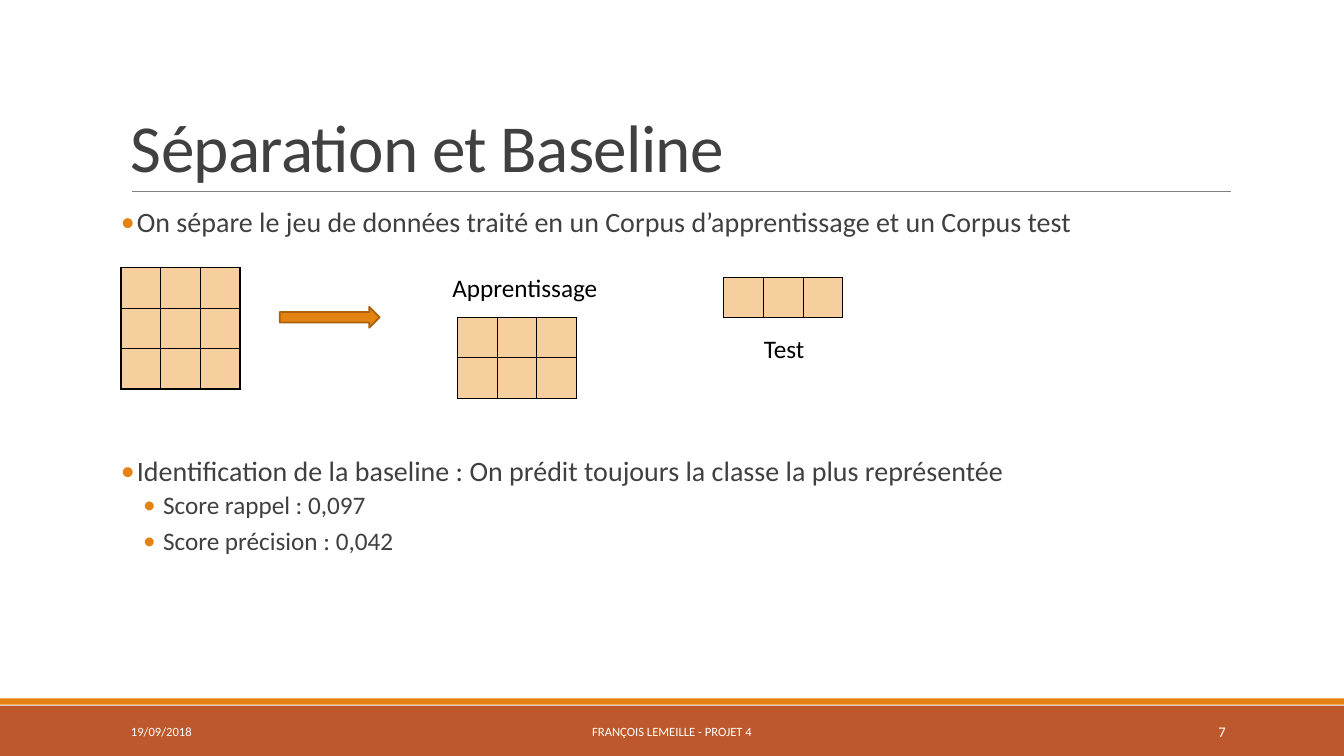
from collections import namedtuple
from dataclasses import dataclass

from lxml.etree import SubElement
from pptx import Presentation
from pptx.dml.color import RGBColor as Rgb
from pptx.enum.shapes import MSO_CONNECTOR as Connector, MSO_SHAPE as Preset
from pptx.enum.text import MSO_ANCHOR as Anchor, PP_ALIGN as Align
from pptx.oxml.ns import qn
from pptx.util import Cm, Pt

Box = namedtuple("Box", "left top width height")
Level = namedtuple("Level", "size margin hanging before after")


@dataclass(frozen=True)
class Theme:
    """Colours, font and type sizes of the slide."""
    font: str = "Calibri"
    ink: str = "404040"
    black: str = "000000"
    white: str = "FFFFFF"
    rule: str = "808080"
    accent: str = "E48312"
    accent_edge: str = "A9610D"
    band: str = "BD582C"
    cell: str = "F7CE9D"
    title: float = 48
    label: float = 18
    footer: float = 9
    page: float = 10.5
    point: Level = Level(20, 0.4, 0.4, 12, 2)
    detail: Level = Level(18, 1.06, 0.5, 2, 4)


THEME = Theme()


def lengths(box):
    """Turn a box in centimetres into lengths."""
    return [Cm(value) for value in box]


def add_run(paragraph, text, size, color):
    """Append a formatted run to a paragraph."""
    run = paragraph.add_run()
    run.text = text
    run.font.name = THEME.font
    run.font.size = Pt(size)
    run.font.color.rgb = Rgb.from_string(color)
    return run


def add_frame(slide, box, anchor=Anchor.TOP):
    """Add a wrapping text box and return its text frame."""
    frame = slide.shapes.add_textbox(*lengths(box)).text_frame
    frame.word_wrap = True
    frame.vertical_anchor = anchor
    return frame


def add_label(slide, box, text, size, color, align=Align.LEFT, anchor=Anchor.TOP):
    """Add a one-line text box."""
    paragraph = add_frame(slide, box, anchor).paragraphs[0]
    paragraph.alignment = align
    add_run(paragraph, text, size, color)


def add_filled(slide, preset, box, color, edge=None):
    """Add a filled preset shape with an optional edge."""
    shape = slide.shapes.add_shape(preset, *lengths(box))
    shape.shadow.inherit = False
    shape.fill.solid()
    shape.fill.fore_color.rgb = Rgb.from_string(color)
    if edge:
        shape.line.color.rgb = Rgb.from_string(edge)
        shape.line.width = Pt(1.25)
    else:
        shape.line.fill.background()


def add_bullet(paragraph, level):
    """Give a paragraph the spacing, indent and bullet of its level."""
    paragraph.line_spacing = 0.9
    paragraph.space_before = Pt(level.before)
    paragraph.space_after = Pt(level.after)
    properties = paragraph._p.get_or_add_pPr()
    properties.set("marL", str(Cm(level.margin)))
    properties.set("indent", str(-Cm(level.hanging)))
    color = SubElement(properties, qn("a:buClr"))
    SubElement(color, qn("a:srgbClr"), val=THEME.accent)
    SubElement(properties, qn("a:buFont"), typeface=THEME.font)
    SubElement(properties, qn("a:buChar"), char="•")


def add_border(cell):
    """Draw a thin black line on each side of a cell."""
    properties = cell._tc.get_or_add_tcPr()
    for side in "LRTB":
        line = SubElement(properties, qn(f"a:ln{side}"), w=str(Pt(1)))
        fill = SubElement(line, qn("a:solidFill"))
        SubElement(fill, qn("a:srgbClr"), val=THEME.black)


def add_grid(slide, left, top, rows, columns=3, side=1):
    """Add a table of empty square cells that stands for a data set."""
    box = Box(left, top, columns * side, rows * side)
    table = slide.shapes.add_table(rows, columns, *lengths(box)).table
    table.first_row = table.horz_banding = False
    for cell in table.iter_cells():
        add_border(cell)
        cell.fill.solid()
        cell.fill.fore_color.rgb = Rgb.from_string(THEME.cell)


def add_title(slide, box, text):
    """Place the title and the rule under it."""
    frame = add_frame(slide, box, Anchor.BOTTOM)
    frame.paragraphs[0].line_spacing = 0.85
    run = add_run(frame.paragraphs[0], text, THEME.title, THEME.ink)
    run.font._element.set("spc", "-50")
    left, bottom = box.left + 0.28, box.top + box.height
    ends = lengths((left, bottom, left + 27.69, bottom))
    rule = slide.shapes.add_connector(Connector.STRAIGHT, *ends)
    rule.line.color.rgb = Rgb.from_string(THEME.rule)
    rule.line.width = Pt(0.5)
    SubElement(rule._element.spPr, qn("a:effectLst"))


def add_body(slide, box, items):
    """Place the bulleted text."""
    frame = add_frame(slide, box)
    frame.margin_left = frame.margin_right = 0
    for index, (text, level) in enumerate(items):
        paragraph = frame.add_paragraph() if index else frame.paragraphs[0]
        add_bullet(paragraph, level)
        add_run(paragraph, text, level.size, THEME.ink)


def add_split(slide, box):
    """Place the diagram that splits the data into training and test sets."""
    left, top = box.left, box.top
    add_grid(slide, left, top, rows=3)
    arrow = Box(left + 4, top + 0.98, 2.52, 0.53)
    add_filled(slide, Preset.RIGHT_ARROW, arrow, THEME.accent, THEME.accent_edge)
    add_grid(slide, left + 8.48, top + 1.25, rows=2)
    add_grid(slide, left + 15.19, top + 0.24, rows=1)
    for text, across, down, width in (("Apprentissage", 8.1, 0, 5.2),
                                      ("Test", 15.95, 1.52, 3.53)):
        place = Box(left + across, top + down, width, 1.03)
        add_label(slide, place, text, THEME.label, THEME.black)


def add_footer(slide, box):
    """Place the two bands with the date, the author and the page number."""
    band_top = box.top + 0.18
    band = Box(box.left, band_top, box.width, box.height - 0.18)
    add_filled(slide, Preset.RECTANGLE, band, THEME.band)
    add_filled(slide, Preset.RECTANGLE, box._replace(height=0.16), THEME.accent)
    for text, left, width, size, align in (
            ("19/09/2018", 3.05, 6.86, THEME.footer, Align.LEFT),
            ("FRANÇOIS LEMEILLE - PROJET 4", 10.24, 13.39, THEME.footer, Align.CENTER),
            ("7", 27.51, 3.63, THEME.page, Align.RIGHT)):
        place = Box(box.left + left, band_top + 0.16, width, 1.01)
        add_label(slide, place, text, size, THEME.white, align, Anchor.MIDDLE)


def build():
    """Build the slide and save it."""
    presentation = Presentation()
    presentation.slide_width, presentation.slide_height = Cm(33.87), Cm(19.05)
    slide = presentation.slides.add_slide(presentation.slide_layouts[6])
    add_footer(slide, Box(0, 17.6, 33.87, 1.45))
    add_title(slide, Box(3.05, 0.79, 27.94, 4.03), "Séparation et Baseline")
    add_body(slide, Box(3.05, 5.13, 27.94, 11.18), (
        ("On sépare le jeu de données traité en un Corpus d’apprentissage"
         " et un Corpus test", THEME.point),
        ("Identification de la baseline : On prédit toujours la classe"
         " la plus représentée", THEME.point._replace(before=154)),
        ("Score rappel : 0,097", THEME.detail),
        ("Score précision : 0,042", THEME.detail)))
    add_split(slide, Box(3.05, 6.75, 18.19, 3.35))
    presentation.save("out.pptx")


build()
